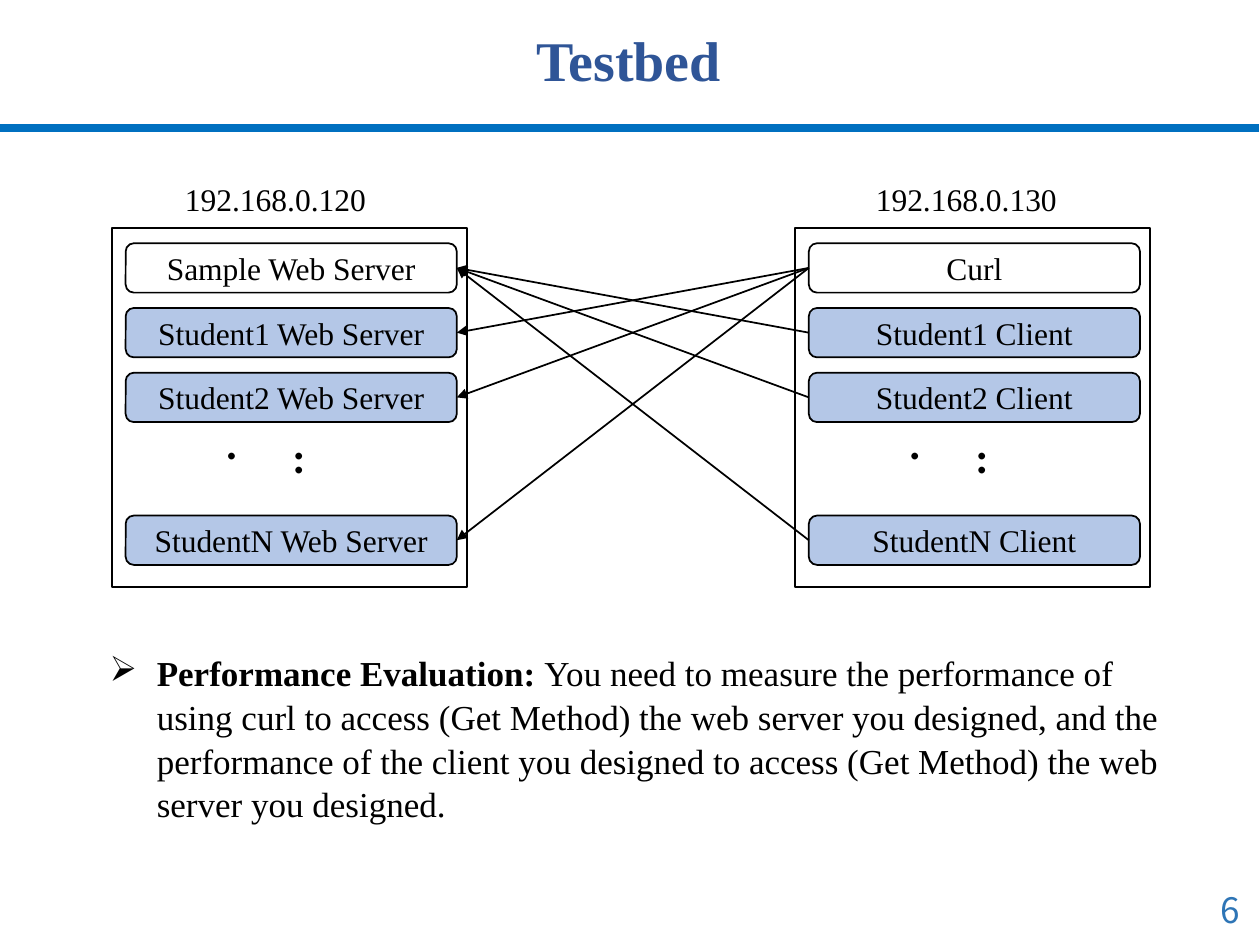
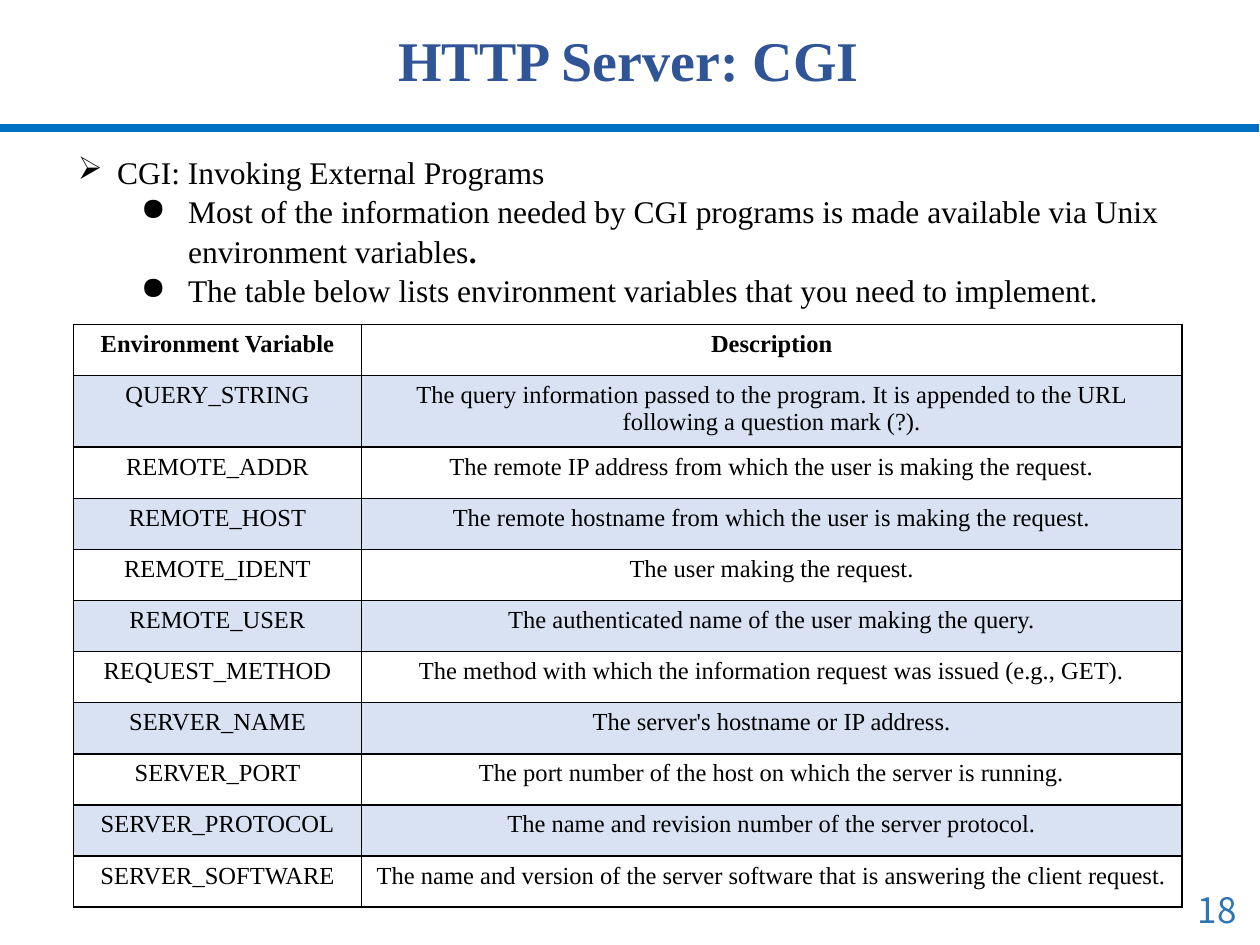
from lxml import etree
from pptx import Presentation
from pptx.dml.color import RGBColor
from pptx.enum import shapes, text
from pptx.oxml import ns
from pptx.util import Pt

BLACK, WHITE = "000000", "FFFFFF"
TITLE_BLUE, BAND_BLUE, NUMBER_BLUE = "2F5597", "0070C0", "2E75B6"
STUDENT_BLUE, ROW_BLUE = "B4C7E7", "4472C4"
SERIF, DOTS_FONT, NUMBER_FONT = "Times New Roman", "Calibri", "Noto Sans CJK SC"
CENTER = text.PP_ALIGN.CENTER
TOP, MIDDLE, BOTTOM = (text.MSO_ANCHOR.TOP, text.MSO_ANCHOR.MIDDLE,
                       text.MSO_ANCHOR.BOTTOM)
LEFT_SIDE, RIGHT_SIDE = 1, 3


def color(hex_value):
    return RGBColor.from_string(hex_value)


def sub(parent, tag, **attributes):
    return etree.SubElement(parent, ns.qn(tag), attributes)


class Deck:
    """Holds the presentation, its style and the slide being filled."""

    def __init__(self):
        self.prs = Presentation()
        self.prs.slide_width, self.prs.slide_height = Pt(720), Pt(540)
        self.slide = None

    def start_slide(self, title, number, number_width):
        self.slide = self.prs.slides.add_slide(self.prs.slide_layouts[6])
        self.line((-0.5, 73), (719.5, 73), BAND_BLUE, 4.5)
        heading = self.textbox((-0.5, 0, 719.5, 57), BOTTOM)
        self.add_runs(heading.paragraphs[0], [(title, True)], 32, TITLE_BLUE,
                      align=CENTER, spacing=0.9)
        footer = self.textbox((718.5 - number_width, 505, number_width, 29), MIDDLE)
        self.add_runs(footer.paragraphs[0], [(number, False)], 20, NUMBER_BLUE, NUMBER_FONT)

    def add_runs(self, paragraph, runs, size, ink=BLACK, font=SERIF, align=None, spacing=None):
        """Add (words, bold) runs to a paragraph."""
        paragraph.alignment = align
        if spacing:
            paragraph.line_spacing = spacing
        for words, bold in runs:
            run = paragraph.add_run()
            run.text = words
            run.font.size, run.font.name, run.font.bold = Pt(size), font, bold
            run.font.color.rgb = color(ink)

    def textbox(self, box, anchor=TOP, parent=None, grow=False):
        holder = parent or self.slide
        frame = holder.shapes.add_textbox(*map(Pt, box)).text_frame
        frame.word_wrap, frame.vertical_anchor = True, anchor
        if grow:
            frame.auto_size = text.MSO_AUTO_SIZE.SHAPE_TO_FIT_TEXT
        return frame

    def label(self, box, words):
        self.add_runs(self.textbox(box, grow=True).paragraphs[0], [(words, False)], 18)

    def bullets(self, box, size, items):
        """Add items of (mark, left margin, hanging indent, runs)."""
        frame = self.textbox(box, grow=True)
        for i, (mark, margin, hanging, runs) in enumerate(items):
            paragraph = frame.add_paragraph() if i else frame.paragraphs[0]
            paragraph.level = 1 if margin > hanging else 0
            self.add_runs(paragraph, runs, size, spacing=1.04)
            props = paragraph._p.get_or_add_pPr()
            props.set("marL", str(Pt(margin)))
            props.set("indent", str(Pt(-hanging)))
            sub(props, "a:buChar", char=mark)

    def vertical_dots(self, group, box):
        frame = self.textbox(box, parent=group, grow=True)
        frame._txBody.bodyPr.set("vert", "eaVert")
        self.add_runs(frame.paragraphs[0], [("...", False)], 32, font=DOTS_FONT)

    def block(self, group, kind, box, fill, words=""):
        shape = group.shapes.add_shape(kind, *map(Pt, box))
        shape.shadow.inherit = False
        shape.fill.solid()
        shape.fill.fore_color.rgb = color(fill)
        shape.line.color.rgb = color(BLACK)
        shape.line.width = Pt(1)
        if words:
            shape.text_frame.vertical_anchor = MIDDLE
            self.add_runs(shape.text_frame.paragraphs[0], [(words, False)], 18, align=CENTER)
        return shape

    def line(self, start, end, ink=BLACK, width=1):
        connector = self.slide.shapes.add_connector(
            shapes.MSO_CONNECTOR.STRAIGHT, *map(Pt, (*start, *end)))
        connector.line.color.rgb = color(ink)
        connector.line.width = Pt(width)
        sub(connector._element.spPr, "a:effectLst")
        return connector

    def request(self, client, server):
        """Draw an arrow from a client's left side to a server's right side."""
        arrow = self.line((0, 0), (0, 0))
        arrow.begin_connect(client, LEFT_SIDE)
        arrow.end_connect(server, RIGHT_SIDE)
        sub(arrow._element.spPr.find(ns.qn("a:ln")), "a:tailEnd", type="triangle")

    def host(self, left, address, address_box, programs):
        """Draw one machine and return the boxes of its programs."""
        self.label(address_box, address)
        group = self.slide.shapes.add_group_shape()
        self.block(group, shapes.MSO_SHAPE.FLOWCHART_PROCESS,
                   (left, 130.3, 203, 205.3), WHITE)
        tops = [139, 176, 213, 294.6]
        boxes = [self.block(group, shapes.MSO_SHAPE.ROUNDED_RECTANGLE,
                            (left + 8, top, 189.2, 28.2),
                            STUDENT_BLUE if i else WHITE, words)
                 for i, (top, words) in enumerate(zip(tops, programs))]
        self.vertical_dots(group, (left + 87.5, 249.5, 53.3, 36.7))
        return boxes

    def cell(self, cell, words, bold, shaded):
        self.add_runs(cell.text_frame.paragraphs[0], [(words, bold)], 14, align=CENTER)
        props = cell._tc.get_or_add_tcPr()
        for side in ("a:lnL", "a:lnR", "a:lnT", "a:lnB"):
            border = sub(props, side, w=str(Pt(1)))
            sub(sub(border, "a:solidFill"), "a:srgbClr", val=BLACK)
        if shaded:
            cell.fill.solid()
            cell.fill.fore_color.rgb = color(ROW_BLUE)
            tint = props.find(ns.qn("a:solidFill")).find(ns.qn("a:srgbClr"))
            sub(tint, "a:alpha", val="20000")
        else:
            cell.fill.background()

    def table(self, left, top, widths, row_height, rows):
        frame = self.slide.shapes.add_table(
            len(rows), len(widths), Pt(left), Pt(top),
            Pt(sum(widths)), Pt(row_height * len(rows)))
        grid = frame.table
        grid.first_row = grid.horz_banding = False
        for column, width in zip(grid.columns, widths):
            column.width = Pt(width)
        for r, row in enumerate(rows):
            grid.rows[r].height = Pt(row_height)
            for c, words in enumerate(row):
                self.cell(grid.cell(r, c), words, bold=r == 0, shaded=r % 2 == 1)


def testbed(deck):
    deck.start_slide("Testbed", "6", 28)
    students = ["Student1", "Student2", "StudentN"]
    servers = deck.host(63.8, "192.168.0.120", (98.6, 99.4, 134, 29),
                        ["Sample Web Server"] + [f"{s} Web Server" for s in students])
    clients = deck.host(454.2, "192.168.0.130", (493.4, 99.4, 124.6, 29),
                        ["Curl"] + [f"{s} Client" for s in students])
    for client in clients[1:]:
        deck.request(client, servers[0])
    for server in servers[1:]:
        deck.request(clients[0], server)
    deck.bullets((55.5, 368, 635, 104.4), 20, [
        ("➢", 27, 27, [
            ("Performance Evaluation: ", True),
            ("You need to measure the performance of using curl to access (Get Method) "
             "the web server you designed, and the performance of the client you "
             "designed to access (Get Method) the web server you designed.", False)])])


def cgi(deck):
    deck.start_slide("HTTP Server: CGI", "18", 41)
    deck.bullets((37.4, 83, 645, 94.3), 18, [
        ("➢", 22.5, 22.5, [("CGI: Invoking External Programs", False)]),
        ("●", 63, 27, [
            ("Most of the information needed by CGI programs is made available "
             "via Unix environment variables", False), (".", True)]),
        ("●", 63, 27, [
            ("The table below lists environment variables that you need to implement.",
             False)])])
    variables = [
        ("Environment Variable", "Description"),
        ("QUERY_STRING", "The query information passed to the program. "
                         "It is appended to the URL following a question mark (?)."),
        ("REMOTE_ADDR", "The remote IP address from which the user is making the request."),
        ("REMOTE_HOST", "The remote hostname from which the user is making the request."),
        ("REMOTE_IDENT", "The user making the request."),
        ("REMOTE_USER", "The authenticated name of the user making the query."),
        ("REQUEST_METHOD",
         "The method with which the information request was issued (e.g., GET)."),
        ("SERVER_NAME", "The server's hostname or IP address."),
        ("SERVER_PORT", "The port number of the host on which the server is running."),
        ("SERVER_PROTOCOL", "The name and revision number of the server protocol."),
        ("SERVER_SOFTWARE", "The name and version of the server software "
                            "that is answering the client request."),
    ]
    deck.table(42, 185.5, [164.6, 468.8], 29.2, variables)


def main():
    deck = Deck()
    testbed(deck)
    cgi(deck)
    deck.prs.save("out.pptx")


if __name__ == "__main__":
    main()
